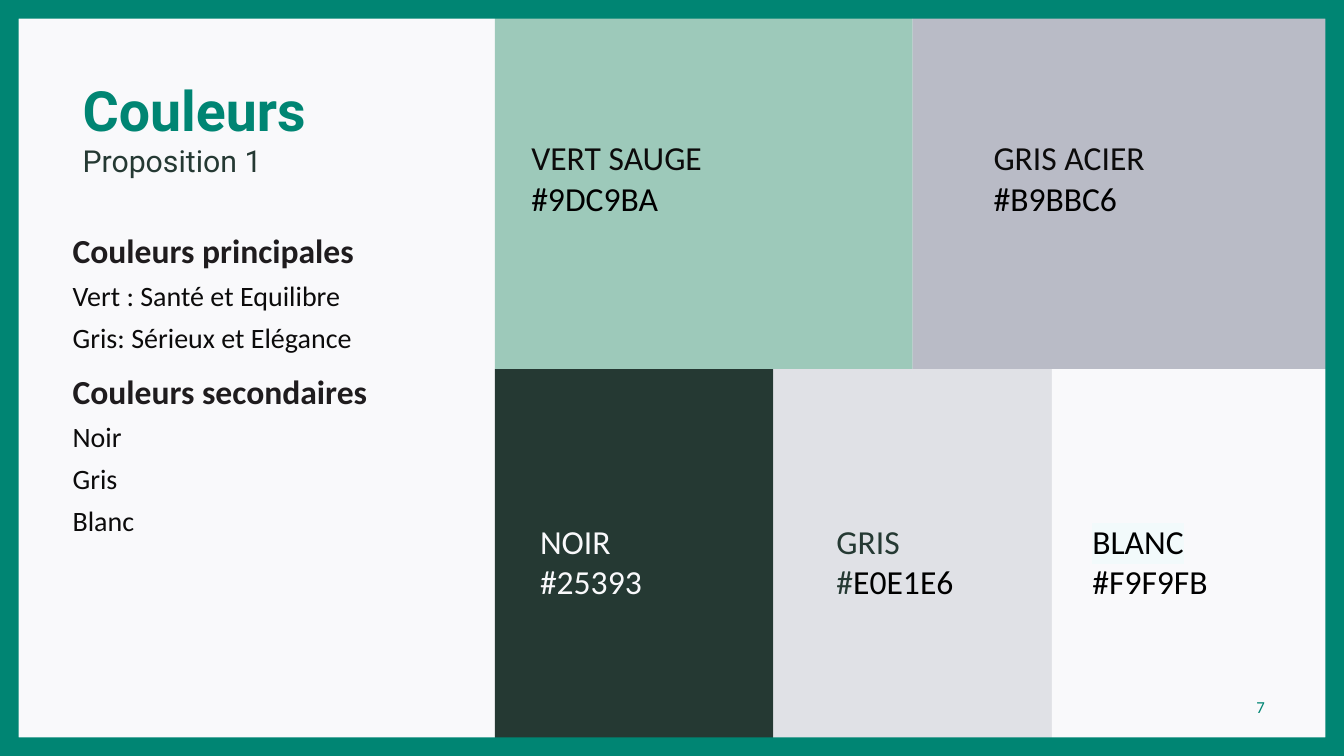
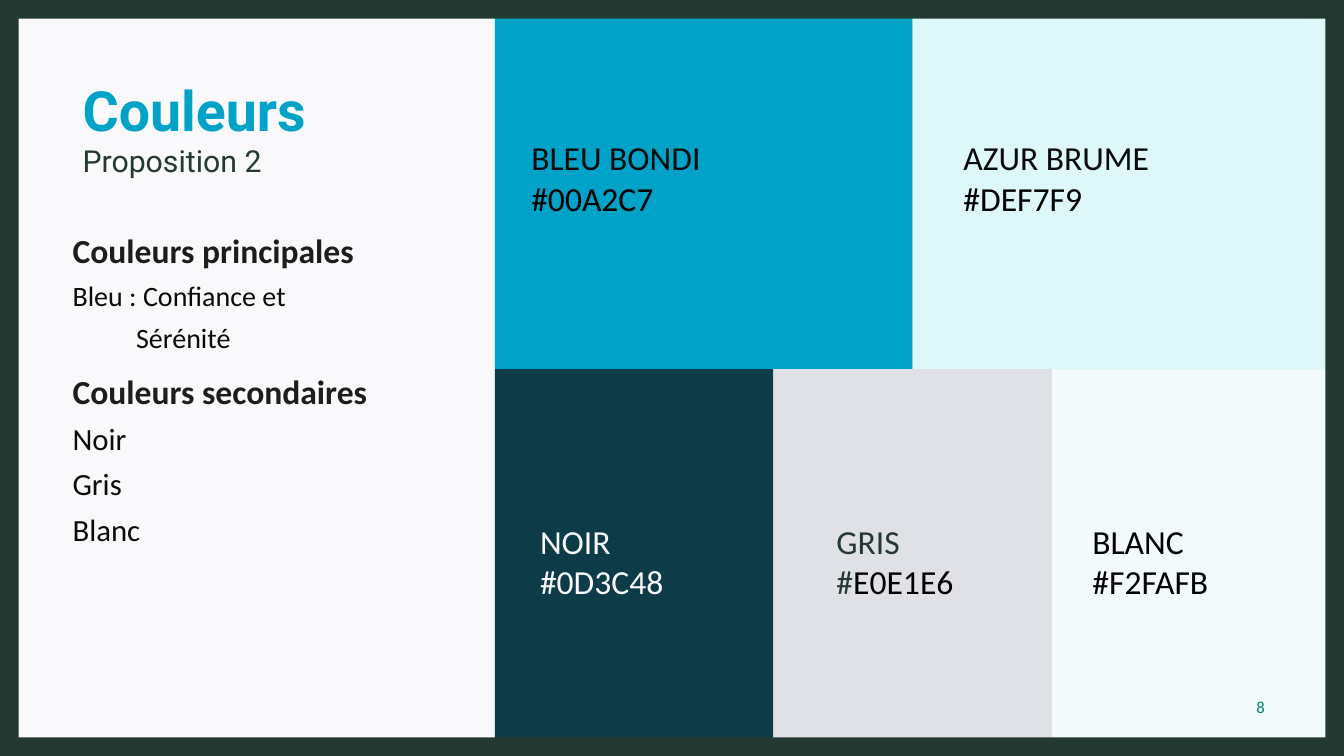
"""Build two slides that each present a colour proposal as a wall of labelled swatches."""
from dataclasses import dataclass
from typing import NamedTuple

from lxml.etree import SubElement
from pptx import Presentation
from pptx.dml.color import RGBColor
from pptx.enum.shapes import MSO_SHAPE as Preset
from pptx.enum.text import MSO_ANCHOR as Anchor, MSO_AUTO_SIZE as AutoSize, PP_ALIGN as Align
from pptx.oxml.ns import qn
from pptx.util import Cm, Pt


@dataclass(frozen=True)
class Theme:
    paper: str = "F9F9FB"
    green: str = "008573"
    blue: str = "00A2C7"
    forest: str = "253933"
    heading: str = "1F1C1E"
    ink: str = "0C0B0B"
    black: str = "000000"
    title_font: str = "Roboto"
    body_font: str = "Calibri"
    title_size: float = 39.6
    subtitle_size: float = 21.6
    heading_size: int = 24
    label_size: int = 24
    number_size: int = 12


THEME = Theme()


class Swatch(NamedTuple):
    name: str
    code: str
    fill: str
    label_left: float
    inks: tuple
    highlight: str = ""


MAIN_INKS = (THEME.ink, THEME.black, THEME.black)
LIGHT_INKS = (THEME.paper,) * 3
GREY_INKS = (THEME.forest, THEME.forest, THEME.black)
BLACK_INKS = (THEME.black,) * 3

GREY = Swatch("GRIS", "E0E1E6", "E0E1E6", 21.08, GREY_INKS)
SECONDARY_NAMES = ["Noir", "Gris", "Blanc"]

PROPOSALS = [
    {
        "subtitle": "Proposition 1", "number": 7,
        "accent": THEME.green, "frame": THEME.green,
        "sections": [
            ("Couleurs principales", 20,
             [("Vert : Santé et Equilibre", 0), ("Gris: Sérieux et Elégance", 0)]),
            ("Couleurs secondaires", 20, [(name, 0) for name in SECONDARY_NAMES]),
        ],
        "main": [
            Swatch("VERT SAUGE", "9DC9BA", "9DC9BA", 13.39, MAIN_INKS),
            Swatch("GRIS ACIER", "B9BBC6", "B9BBC6", 25.04, MAIN_INKS),
        ],
        "secondary": [
            Swatch("NOIR", "25393", "253933", 13.61, LIGHT_INKS),
            GREY,
            Swatch("BLANC", "F9F9FB", "F9F9FB", 27.53, BLACK_INKS, "F2FAFB"),
        ],
    },
    {
        "subtitle": "Proposition 2", "number": 8,
        "accent": THEME.blue, "frame": THEME.forest,
        "sections": [
            ("Couleurs principales", 20, [("Bleu : Confiance et", 0), ("Sérénité", 1.6)]),
            ("Couleurs secondaires", 22, [(name, 0) for name in SECONDARY_NAMES]),
        ],
        "main": [
            Swatch("BLEU BONDI", "00A2C7", "00A2C7", 13.39, MAIN_INKS),
            Swatch("AZUR BRUME", "DEF7F9", "DEF7F9", 24.28, MAIN_INKS),
        ],
        "secondary": [
            Swatch("NOIR", "0D3C48", "0D3C48", 13.61, LIGHT_INKS),
            GREY,
            Swatch("BLANC", "F2FAFB", "F2FAFB", 27.53, BLACK_INKS),
        ],
    },
]

SLIDE_WIDTH, SLIDE_HEIGHT = 33.87, 19.05
FRAME_BAND = 0.47
WALL_LEFT, WALL_RIGHT = 12.47, 33.53
ROWS = [
    {"key": "main", "top": 0, "height": 9.3, "label_top": 3.33, "label_width": 6.3},
    {"key": "secondary", "top": 9.3, "height": 9.35, "label_top": 13, "label_width": 3.94},
]
LABEL_HEIGHT = 2.31


def style(font, size, color, family=THEME.body_font, bold=False):
    font.name, font.size, font.bold = family, Pt(size), bold
    font.color.rgb = RGBColor.from_string(color)


def place(part, left, top, width, height):
    part.left, part.top, part.width, part.height = map(Cm, (left, top, width, height))


def fit_text(frame, anchor=Anchor.TOP, margin_left=0.25):
    frame.word_wrap = True
    frame.auto_size = AutoSize.NONE
    frame.vertical_anchor = anchor
    frame.margin_left, frame.margin_right = Cm(margin_left), Cm(0.25)
    frame.margin_top = frame.margin_bottom = Cm(0.13)


def add_area(slide, preset, color, left, top, width, height):
    area = slide.shapes.add_shape(preset, *map(Cm, (left, top, width, height)))
    area.shadow.inherit = False
    area.fill.solid()
    area.fill.fore_color.rgb = RGBColor.from_string(color)
    area.line.fill.background()
    return area


def add_text_box(slide, left, top, width, height, **fitting):
    frame = slide.shapes.add_textbox(*map(Cm, (left, top, width, height))).text_frame
    fit_text(frame, **fitting)
    return frame


def highlight(run, color):
    mark = SubElement(run.font.fill._xPr, qn("a:highlight"))
    SubElement(mark, qn("a:srgbClr")).set("val", color)
    run.font.fill._xPr.find(qn("a:solidFill")).addnext(mark)


def add_label(slide, swatch, row):
    frame = add_text_box(slide, swatch.label_left, row["label_top"],
                         row["label_width"], LABEL_HEIGHT, margin_left=0)
    name_line, code_line = frame.paragraphs[0], frame.add_paragraph()
    pieces = zip((name_line, code_line, code_line), (swatch.name, "#", swatch.code), swatch.inks)
    for line, words, ink in pieces:
        run = line.add_run()
        run.text = words
        style(run.font, THEME.label_size, ink)
    if swatch.highlight:
        highlight(name_line.runs[0], swatch.highlight)


def add_swatch_wall(slide, proposal):
    for row in ROWS:
        swatches = proposal[row["key"]]
        width = (WALL_RIGHT - WALL_LEFT) / len(swatches)
        for column, swatch in enumerate(swatches):
            add_area(slide, Preset.RECTANGLE, swatch.fill,
                     WALL_LEFT + column * width, row["top"], width, row["height"])
            add_label(slide, swatch, row)


def add_frame(slide, color):
    border = add_area(slide, Preset.FRAME, color, 0, 0, SLIDE_WIDTH, SLIDE_HEIGHT)
    border.adjustments[0] = FRAME_BAND / SLIDE_HEIGHT


def fill_title(title, proposal):
    place(title, 1.83, 1.78, 8.13, 2.87)
    fit_text(title.text_frame, Anchor.MIDDLE)
    line = title.text_frame.paragraphs[0]
    line.alignment = Align.LEFT
    style(line.font, THEME.title_size, proposal["accent"], THEME.title_font, True)
    line.add_run().text = "Couleurs"
    line.add_line_break()
    subtitle = line.add_run()
    subtitle.text = proposal["subtitle"]
    style(subtitle.font, THEME.subtitle_size, THEME.forest, THEME.title_font)


def fill_sections(body, sections):
    place(body, 1.83, 5.66, 9.96, 9)
    fit_text(body.text_frame, margin_left=0)
    entries = []
    for heading, size, items in sections:
        entries.append((heading, 0, 12 if entries else 0, 0, THEME.heading_size, THEME.heading, True))
        entries += [(item, 1, 6, indent, size, THEME.ink, False) for item, indent in items]
    for index, (words, level, before, indent, size, color, bold) in enumerate(entries):
        line = body.text_frame.add_paragraph() if index else body.text_frame.paragraphs[0]
        line.text, line.level, line.space_before = words, level, Pt(before)
        settings = line._p.get_or_add_pPr()
        settings.set("marL", str(Cm(indent)))
        settings.set("indent", "0")
        SubElement(settings, qn("a:buNone"))
        style(line.font, size, color, bold=bold)


def add_number(slide, number):
    frame = add_text_box(slide, 30.66, 17.32, 1.47, 0.97, anchor=Anchor.MIDDLE)
    line = frame.paragraphs[0]
    line.text, line.alignment = str(number), Align.RIGHT
    style(line.font, THEME.number_size, THEME.green)


def main():
    deck = Presentation()
    deck.slide_width, deck.slide_height = Cm(SLIDE_WIDTH), Cm(SLIDE_HEIGHT)
    paper = deck.slide_master.background.fill
    paper.solid()
    paper.fore_color.rgb = RGBColor.from_string(THEME.paper)
    for proposal in PROPOSALS:
        slide = deck.slides.add_slide(deck.slide_layouts[1])
        fill_title(slide.shapes.title, proposal)
        fill_sections(slide.placeholders[1], proposal["sections"])
        add_swatch_wall(slide, proposal)
        add_frame(slide, proposal["frame"])
        add_number(slide, proposal["number"])
    deck.save("out.pptx")


if __name__ == "__main__":
    main()
